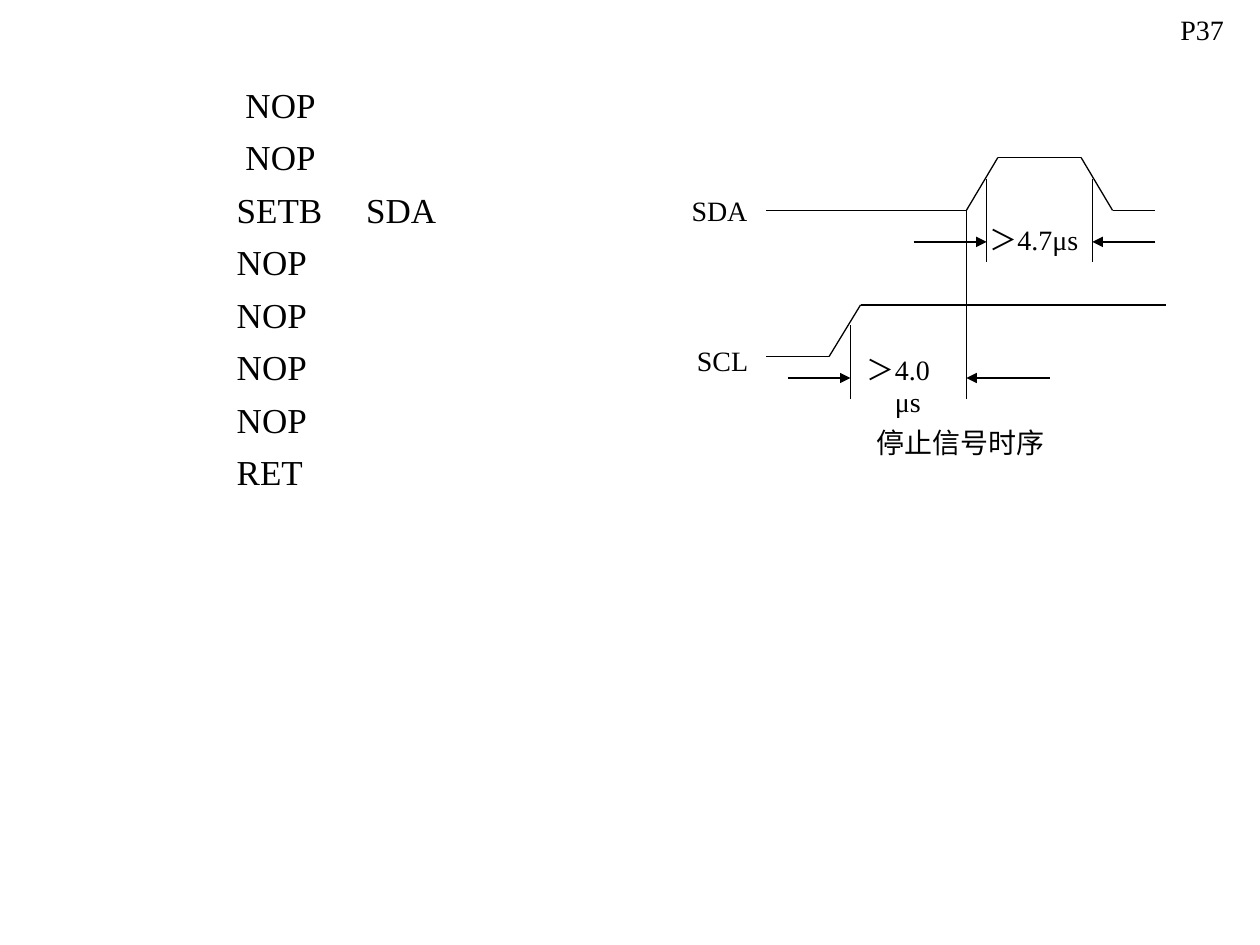
from itertools import pairwise
from lxml import etree
from pptx import Presentation
from pptx.dml.color import RGBColor
from pptx.enum import shapes, text
from pptx.oxml import ns
from pptx.util import Inches, Pt

COLORS = {"ink": "000000"}
INK = RGBColor.from_string(COLORS["ink"])
FONT = "Times New Roman"

prs = Presentation()
prs.slide_width, prs.slide_height = Inches(10), Inches(7.5)
s = prs.slides.add_slide(prs.slide_layouts[6])


def add_line(start, end, arrow=False):
    line = s.shapes.add_connector(
        shapes.MSO_CONNECTOR.STRAIGHT, *(Inches(v) for v in (*start, *end))
    )
    line.line.color.rgb = INK
    line.line.width = Pt(0.75)
    if arrow:
        etree.SubElement(line.line._get_or_add_ln(), ns.qn("a:tailEnd"), type="triangle")
    etree.SubElement(line._element.spPr, ns.qn("a:effectLst"))


def add_text(box, lines, size, align, gap=0):
    tf = s.shapes.add_textbox(*(Inches(v) for v in box)).text_frame
    tf.word_wrap = True
    tf.text = "\n".join(lines)
    for i, p in enumerate(tf.paragraphs):
        p.alignment = align
        p.space_before = Pt(gap if i else 0)
        for r in p.runs:
            r.font.name, r.font.size = FONT, Pt(size)
            r.font.color.rgb = INK


code = [
    "                 NOP",
    "                 NOP",
    "                SETB     SDA",
    *["                NOP"] * 4,
    "                RET",
]
add_text((0.67, 0.61, 8.83, 4.25), code, 20, text.PP_ALIGN.LEFT, gap=6)

sda = [(6.08, 1.67), (7.67, 1.67), (7.92, 1.25), (8.58, 1.25), (8.83, 1.67), (9.17, 1.67)]
scl = [(6.08, 2.83), (6.58, 2.83), (6.83, 2.42), (9.25, 2.42)]
for signal in (sda, scl):
    for start, end in pairwise(signal):
        add_line(start, end)

for x, top, bottom in [(7.83, 1.42, 2.08), (8.67, 1.42, 2.08), (7.67, 1.67, 3.17), (6.75, 2.58, 3.17)]:
    add_line((x, top), (x, bottom))

for x1, x2, y in [(7.25, 7.83, 1.92), (9.17, 8.67, 1.92), (6.25, 6.75, 3), (8.33, 7.67, 3)]:
    add_line((x1, y), (x2, y), arrow=True)

labels = [
    ("＞4.7μs", 7.58, 1.72, 1.25),
    ("＞4.0", 6.67, 2.75, 0.92),
    ("μs", 6.83, 3, 0.75),
    ("SDA", 5.25, 1.49, 0.92),
    ("SCL", 5.36, 2.68, 0.75),
    ("停止信号时序", 6.75, 3.33, 1.75),
    ("P37", 9.08, 0.05, 0.92),
]
for label, left, top, width in labels:
    add_text((left, top, width, 0.37), [label], 16, text.PP_ALIGN.CENTER)

prs.save("out.pptx")
